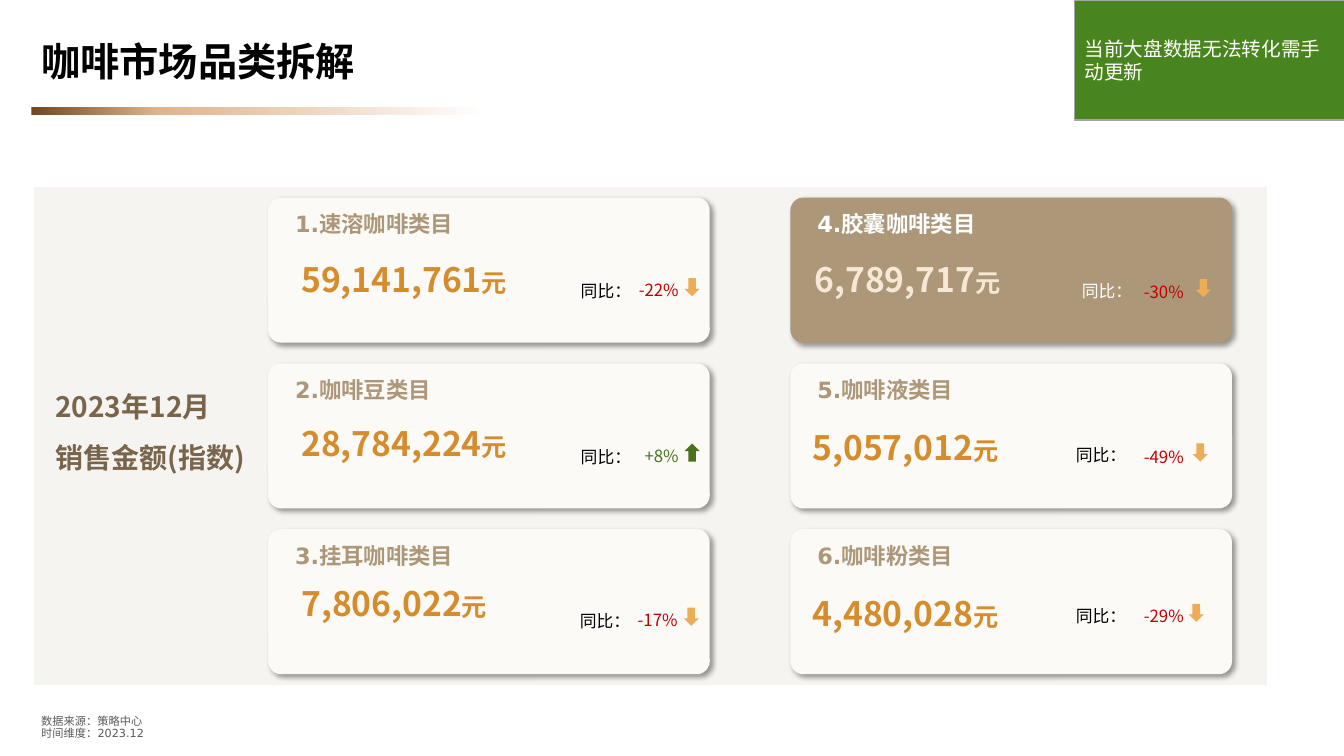
from dataclasses import dataclass

from lxml.etree import SubElement
from pptx import Presentation
from pptx.dml.color import RGBColor
from pptx.enum.shapes import MSO_SHAPE as Shape
from pptx.enum.text import MSO_ANCHOR as Anchor, PP_ALIGN as Align
from pptx.oxml import parse_xml
from pptx.oxml.ns import nsdecls, qn
from pptx.util import Inches, Pt

WIDE, HIGH = Inches(13.33), Inches(7.5)
SANS, NOTO = "DejaVu Sans", "Noto Sans CJK SC"
CREAM, TAN, GOLD = "FBFAF7", "AD9779", "D58C2D"
RED, GREEN, AMBER = "C00000", "49711E", "EDAD56"

# Card grid, in percent of the slide's width and height
LEFT, TOP = 19.95, 26.13
STEP_X, STEP_Y = 38.86, 21.93
CARD_W, CARD_H = 32.86, 19.2


@dataclass
class Card:
    name: str
    sum: str
    rate: str
    # Offsets within the card, in percent of the slide
    sum_at: tuple
    tag_at: tuple
    rate_at: tuple
    mark_at: tuple
    fill: str = CREAM
    head: str = TAN
    ink: str = GOLD
    tag: str = "000000"


CARDS = [
    Card("1.速溶咖啡类目", "59,141,761", "-22%",
         (1.73, 4.8), (18.6, 9.87), (25.36, 9.73), (30.98, 10.67)),
    Card("2.咖啡豆类目", "28,784,224", "+8%",
         (1.73, 4.6), (18.6, 9.8), (25.36, 9.67), (30.98, 10.6)),
    Card("3.挂耳咖啡类目", "7,806,022", "-17%",
         (1.73, 3.73), (18.53, 9.6), (25.28, 9.47), (30.91, 10.4)),
    Card("4.胶囊咖啡类目", "6,789,717", "-30%",
         (1.05, 4.8), (17.03, 9.87), (24.08, 10), (30.16, 10.8),
         TAN, "FFFFFF", "F7E8D5", "FFFFFF"),
    Card("5.咖啡液类目", "5,057,012", "-49%",
         (0.9, 5.07), (16.58, 9.53), (24.08, 9.8), (29.93, 10.6)),
    Card("6.咖啡粉类目", "4,480,028", "-29%",
         (0.9, 5.07), (16.58, 8.93), (24.08, 8.93), (29.63, 9.87)),
]


def color(code):
    return RGBColor.from_string(code)


def share(x, y, w, h):
    """Turn percent of the slide into lengths."""
    return [round(part * full / 100)
            for part, full in zip((x, y, w, h), (WIDE, HIGH) * 2)]


def write(shape, *lines, size=12, font=NOTO, ink="000000", bold=False,
          align=Align.LEFT, space=1.0, anchor=Anchor.TOP):
    """Fill a shape with lines; a line is text or (text, size) runs."""
    frame = shape.text_frame
    frame.word_wrap = True
    frame.vertical_anchor = anchor
    for i, line in enumerate(lines):
        para = frame.add_paragraph() if i else frame.paragraphs[0]
        para.alignment, para.line_spacing = align, space
        para.space_before = Pt(0)
        for words, points in [(line, size)] if isinstance(line, str) else line:
            run = para.add_run()
            run.text = words
            run.font.size, run.font.bold = Pt(points), bold
            run.font.name = font
            run.font.color.rgb = color(ink)
            SubElement(run._r.get_or_add_rPr(), qn("a:ea"), typeface=NOTO)


def label(slide, box, *lines, **style):
    write(slide.shapes.add_textbox(*share(*box)), *lines, **style)


def block(slide, box, fill=None, kind=Shape.RECTANGLE, line=None):
    shape = slide.shapes.add_shape(kind, *share(*box))
    shape.shadow.inherit = False
    if fill:
        shape.fill.solid()
        shape.fill.fore_color.rgb = color(fill)
    if line:
        shape.line.color.rgb = color(line)
        shape.line.width = Pt(1)
    else:
        shape.line.fill.background()
    return shape


def fade(shape, stops):
    """Give a shape a gradient from left to right."""
    marks = "".join(f'<a:gs pos="{pos * 1000}"><a:srgbClr val="{code}"/></a:gs>'
                    for pos, code in stops)
    grad = parse_xml(f'<a:gradFill {nsdecls("a")}><a:gsLst>{marks}</a:gsLst>'
                     '<a:lin ang="0" scaled="0"/></a:gradFill>')
    shape._element.spPr.find(qn("a:prstGeom")).addnext(grad)


def shade(shape):
    """Cast a soft shadow to the lower right."""
    glow = shape._element.spPr.find(qn("a:effectLst"))
    drop = SubElement(glow, qn("a:outerShdw"), blurRad=str(Pt(4)),
                      dist=str(Pt(3)), dir="2700000", algn="tl",
                      rotWithShape="0")
    tint = SubElement(drop, qn("a:srgbClr"), val="000000")
    SubElement(tint, qn("a:alpha"), val="40000")


def draw_card(slide, card, col, row):
    x, y = LEFT + col * STEP_X, TOP + row * STEP_Y

    def spot(at, w, h):
        return x + at[0], y + at[1], w, h

    base = block(slide, (x, y, CARD_W, CARD_H), card.fill,
                 Shape.ROUNDED_RECTANGLE)
    base.adjustments[0] = 0.09
    shade(base)
    label(slide, spot((1.28, 1.03), 26.86, 4.93), card.name,
          size=16, font=SANS, ink=card.head, bold=True)
    label(slide, spot(card.sum_at, 20.1, 8.53), [(card.sum, 24), ("元", 18)],
          ink=card.ink, bold=True, space=1.5)

    # Change on the year
    rise = card.rate.startswith("+")
    label(slide, spot(card.tag_at, 9.15, 4.27), "同比：",
          ink=card.tag, align=Align.RIGHT, space=1.2)
    label(slide, spot(card.rate_at, 5.93, 4.27), card.rate,
          ink=GREEN if rise else RED, align=Align.RIGHT, space=1.2)
    mark = block(slide, spot(card.mark_at, 1.13, 2.4),
                 GREEN if rise else AMBER, Shape.UP_ARROW)
    mark.rotation = 0 if rise else 180


def main():
    deck = Presentation()
    deck.slide_width, deck.slide_height = WIDE, HIGH
    slide = deck.slides.add_slide(deck.slide_layouts[5])

    # Title and its rule
    title = slide.shapes.title
    title.left, title.top, title.width, title.height = share(
        2.33, 3.2, 77.42, 10.4)
    write(title, "咖啡市场品类拆解", size=28, font=SANS, bold=True,
          space=0.9, anchor=Anchor.MIDDLE)
    fade(block(slide, (2.33, 14.13, 33.83, 1.07)),
         [(0, "73461F"), (28, "E0B38C"), (100, "FFFFFF")])

    # Panel with six cards, filled column by column
    block(slide, (2.55, 24.8, 91.67, 65.73), "F6F4F0", line="F6F4F0")
    label(slide, (3.38, 48.67, 29.93, 14), "2023年12月", "销售金额(指数)",
          size=20, ink="79654B", bold=True, space=1.5)
    for i, card in enumerate(CARDS):
        draw_card(slide, card, *divmod(i, 3))

    # Note and source
    note = block(slide, (79.97, 0, 20.1, 15.87), "49851E", line="A5A5A5")
    write(note, "当前大盘数据无法转化需手动更新", size=14, ink="FFFFFF",
          anchor=Anchor.MIDDLE)
    label(slide, (2.33, 94.13, 95.42, 4.4), "数据来源：策略中心",
          "时间维度：2023.12", size=8, font=SANS, ink="595959",
          space=0.9, anchor=Anchor.MIDDLE)

    deck.save("out.pptx")


if __name__ == "__main__":
    main()
